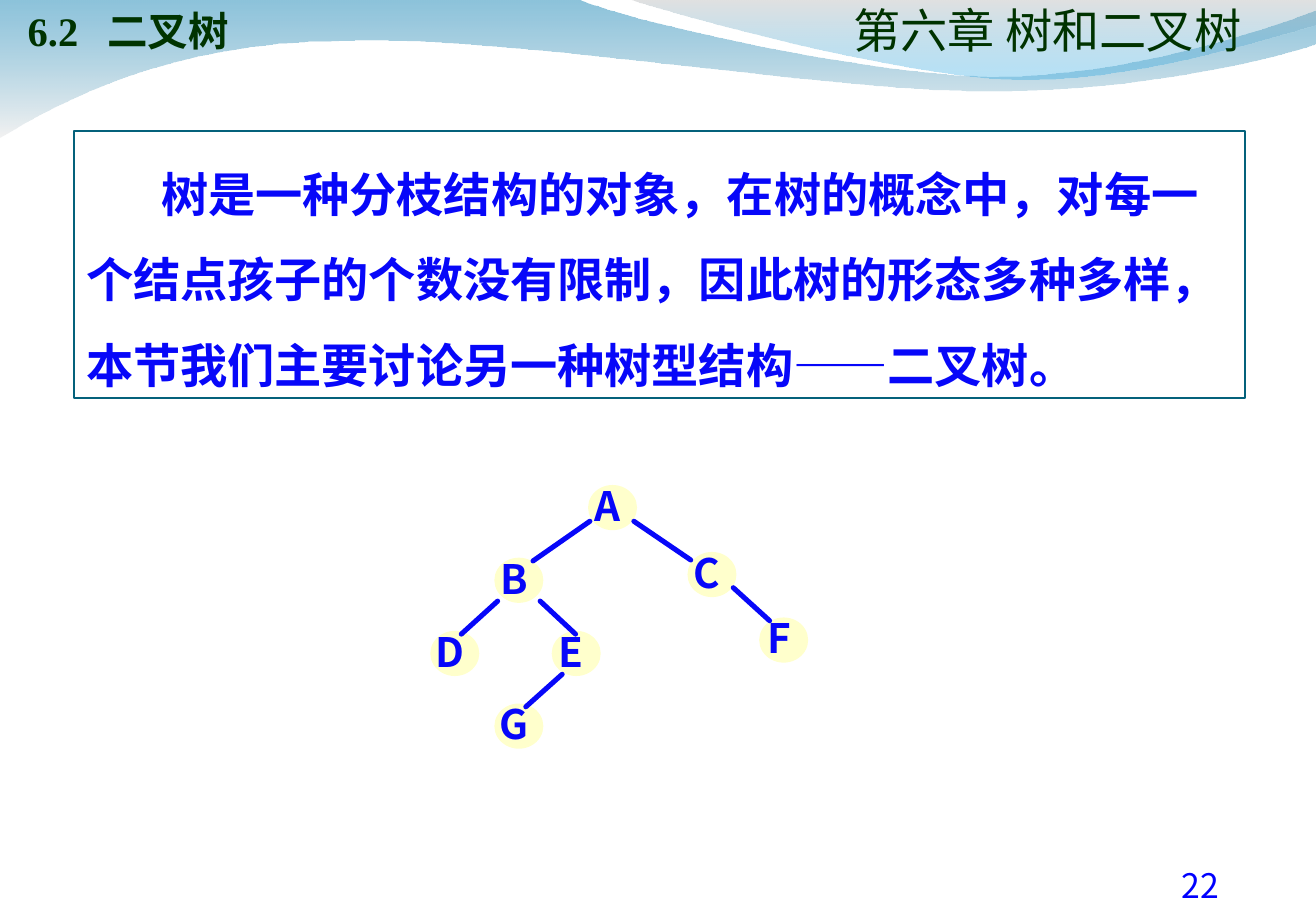
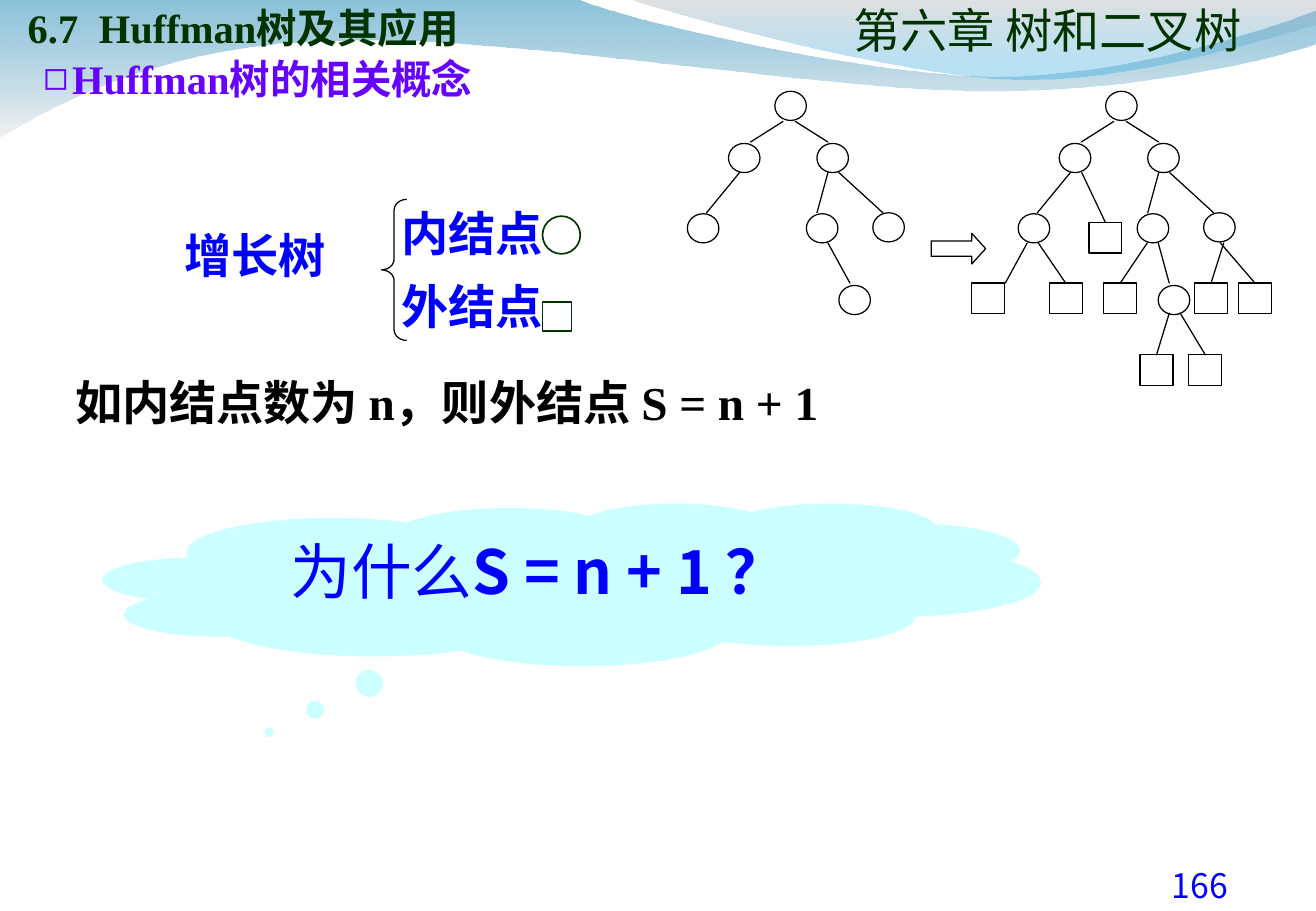
import dataclasses

import lxml.etree
import pptx
import pptx.dml.color
import pptx.enum.shapes
import pptx.enum.text
import pptx.oxml.ns
import pptx.util

Cm = pptx.util.Cm
Pt = pptx.util.Pt
RGB = pptx.dml.color.RGBColor.from_string
SHAPE = pptx.enum.shapes.MSO_SHAPE
ALIGN = pptx.enum.text.PP_ALIGN
ANCHOR = pptx.enum.text.MSO_ANCHOR
qn = pptx.oxml.ns.qn


@dataclasses.dataclass(frozen=True)
class Theme:
    serif: str = "Times New Roman"
    sans: str = "Noto Sans CJK SC"
    title: str = "003300"
    accent: str = "0000FF"
    tree: str = "0707F9"
    node: str = "FFFFCC"
    cloud: str = "CCFFFF"
    frame: str = "04617B"
    heading: str = "6600FF"
    ink: str = "000000"
    number: int = 20
    head: int = 24
    text: int = 28
    big: int = 36
    thin: float = 0.75
    medium: float = 1
    thick: float = 3
    wave: tuple = (("0079AF", 45), ("E7E7E7", 55))
    glow: tuple = (("BCBCBC", 45), ("009BE5", 30))


WAVE = [
    [(0, 0)], [(12.12, 0)],
    [(13.08, 0.43), (18.26, 1.6), (20.88, 1.6)],
    [(23.47, 1.6), (26.37, 0.66), (27.51, 0.23)],
    [(27.53, 0.91)],
    [(27.05, 1.12), (23.93, 1.93), (20.52, 1.9)],
    [(17.12, 1.9), (10.52, 0.71), (7.09, 0.86)],
    [(3.56, 0.89), (1.27, 2.11), (0, 2.87)],
]
GLOW = [
    [(13.18, 0)],
    [(14.02, 0.28), (18.77, 1.57), (21.16, 1.65)],
    [(23.55, 1.75), (26.47, 0.81), (27.51, 0.53)],
    [(27.53, 0)],
]


class Deck:
    def __init__(self, theme):
        self.theme = theme
        self.prs = pptx.Presentation()
        self.prs.slide_width, self.prs.slide_height = Cm(27.53), Cm(19.05)
        self.layout = self.prs.slide_layouts[1]
        self.slide = None

    def new_slide(self, number, section, title, bottom, tab):
        first = self.slide is None
        self.slide = self.prs.slides.add_slide(self.layout)
        if first:
            self.shared_parts()
        t = self.theme
        sp = self.place(self.slide.shapes.title, 0.58, 0, 12.4, bottom)
        p = self.frame(sp, (0, 0.13, 0, 0), ANCHOR.BOTTOM).paragraphs[0]
        p.alignment = ALIGN.LEFT
        tabs = lxml.etree.SubElement(p._p.get_or_add_pPr(), qn("a:tabLst"))
        lxml.etree.SubElement(tabs, qn("a:tab"), pos=str(Cm(tab)), algn="l")
        self.run(p, section + "\t" + title, t.head, t.title)
        p = self.text(22.86, 17.96, 4.65, 1.09, align=ALIGN.CENTER)
        self.run(p, f"{number} ", t.number, t.accent, False, t.sans)

    def shared_parts(self):
        t = self.theme
        for ph in list(self.layout.placeholders)[2:]:
            ph.element.getparent().remove(ph.element)
        count = len(self.slide.shapes)
        self.band(WAVE, t.wave)
        self.band(GLOW, t.glow)
        p = self.text(17.73, 0, 8.36, 1.22, (0, 0.13, 0, 0), ANCHOR.BOTTOM, ALIGN.CENTER)
        self.run(p, "第六章 树和二叉树", t.text, t.title, False)
        for sp in list(self.slide.shapes)[count:]:
            self.layout.shapes.element.append(sp.element)

    def band(self, pieces, stops):
        points = [(Cm(x), Cm(y)) for piece in pieces for x, y in piece]
        builder = self.slide.shapes.build_freeform(*points[0], scale=1.0)
        builder.add_line_segments(points[1:], close=True)
        sp = builder.convert_to_shape()
        self.curve(sp, pieces)
        sp.shadow.inherit = False
        sp.fill.gradient()
        sp.fill.gradient_angle = 270
        for stop, (color, _) in zip(sp.fill.gradient_stops, stops):
            stop.color.rgb = RGB(color)
        for clr, (_, opacity) in zip(sp.element.spPr.iter(qn("a:srgbClr")), stops):
            lxml.etree.SubElement(clr, qn("a:alpha"), val=str(opacity * 1000))
        sp.line.fill.background()

    def curve(self, sp, pieces):
        segments = iter(list(sp.element.spPr.iter(qn("a:lnTo"))))
        for piece in pieces[1:]:
            group = [next(segments) for _ in piece]
            if len(group) == 3:
                bezier = lxml.etree.Element(qn("a:cubicBezTo"))
                group[0].addprevious(bezier)
                for segment in group:
                    bezier.append(segment[0])
                    segment.getparent().remove(segment)

    def place(self, sp, x, y, w, h):
        sp.left, sp.top, sp.width, sp.height = Cm(x), Cm(y), Cm(w), Cm(h)
        return sp

    def frame(self, sp, insets=(0.25, 0.13, 0.25, 0.13), anchor=ANCHOR.TOP, wrap=True):
        tf = sp.text_frame
        tf.auto_size = pptx.enum.text.MSO_AUTO_SIZE.NONE
        tf.word_wrap = wrap
        tf.vertical_anchor = anchor
        tf.margin_left, tf.margin_top, tf.margin_right, tf.margin_bottom = map(Cm, insets)
        return tf

    def text(self, x, y, w, h, insets=(0.25, 0.13, 0.25, 0.13), anchor=ANCHOR.TOP,
             align=ALIGN.LEFT):
        sp = self.slide.shapes.add_textbox(Cm(x), Cm(y), Cm(w), Cm(h))
        p = self.frame(sp, insets, anchor).paragraphs[0]
        p.alignment = align
        return p

    def lines(self, x, y, w, h, items, size, color, spacing):
        sp = self.slide.shapes.add_textbox(Cm(x), Cm(y), Cm(w), Cm(h))
        tf = self.frame(sp)
        for i, item in enumerate(items):
            p = tf.add_paragraph() if i else tf.paragraphs[0]
            p.line_spacing = spacing
            self.run(p, item, size, color)

    def run(self, p, words, size, color, bold=True, font=None):
        r = p.add_run()
        r.text = words
        r.font.size, r.font.bold = Pt(size), bold
        r.font.color.rgb = RGB(color)
        r.font.name = font or self.theme.serif
        lxml.etree.SubElement(r._r.get_or_add_rPr(), qn("a:ea"), typeface=self.theme.sans)

    def body(self, x, y, w, h, words, size, color, left, indent, bullet=None):
        sp = self.place(self.slide.placeholders[1], x, y, w, h)
        p = self.frame(sp).paragraphs[0]
        p.alignment = ALIGN.LEFT
        p.space_before = Pt(0)
        pPr = p._p.get_or_add_pPr()
        pPr.set("marL", str(Cm(left)))
        pPr.set("indent", str(Cm(indent)))
        if bullet:
            clr = lxml.etree.SubElement(pPr, qn("a:buClr"))
            lxml.etree.SubElement(clr, qn("a:srgbClr"), val=color)
            lxml.etree.SubElement(pPr, qn("a:buChar"), char=bullet)
        else:
            lxml.etree.SubElement(pPr, qn("a:buNone"))
        self.run(p, words, size, color)
        return sp, p

    def shape(self, kind, x, y, w, h, line=None, fill=None, width=None, adj=()):
        sp = self.slide.shapes.add_shape(kind, Cm(x), Cm(y), Cm(w), Cm(h))
        sp.shadow.inherit = False
        for i, value in enumerate(adj):
            sp.adjustments[i] = value
        if fill:
            sp.fill.solid()
            sp.fill.fore_color.rgb = RGB(fill)
        else:
            sp.fill.background()
        if line:
            sp.line.color.rgb = RGB(line)
            sp.line.width = Pt(width or self.theme.thin)
        else:
            sp.line.fill.background()
        return sp

    def line(self, x1, y1, x2, y2, color=None, width=None):
        kind = pptx.enum.shapes.MSO_CONNECTOR.STRAIGHT
        cx = self.slide.shapes.add_connector(kind, Cm(x1), Cm(y1), Cm(x2), Cm(y2))
        cx.line.color.rgb = RGB(color or self.theme.ink)
        cx.line.width = Pt(width or self.theme.thin)
        cx.line._get_or_add_ln().set("cap", "rnd")
        lxml.etree.SubElement(cx.element.spPr, qn("a:effectLst"))
        return cx

    def letter_node(self, letter, x, y):
        t = self.theme
        sp = self.shape(SHAPE.OVAL, x, y, 0.99, 0.91, t.node, t.node, t.medium)
        p = self.frame(sp, (0, 0, 0.2, 0.1), ANCHOR.MIDDLE, False).paragraphs[0]
        p.alignment = ALIGN.CENTER
        self.run(p, letter, t.head, t.tree, True, t.sans)

    def inner_node(self, x, y):
        self.shape(SHAPE.OVAL, x, y, 0.66, 0.61, self.theme.ink)

    def outer_node(self, x, y, start):
        sp = self.shape(SHAPE.RECTANGLE, x, y, 0.69, 0.64, self.theme.ink)
        if start:
            self.line(*start, x, y).end_connect(sp, 0)

    def crown(self, dx):
        for x, y in [(16.21, 1.91), (15.24, 3), (17.09, 3), (14.38, 4.47),
                     (16.87, 4.47), (18.26, 4.45)]:
            self.inner_node(x + dx, y)
        for x1, x2 in [(16.38, 15.7), (16.64, 17.32)]:
            self.line(x1 + dx, 2.54, x2 + dx, 2.97)
        for x1, x2 in [(15.47, 14.78), (17.32, 17.09), (17.55, 18.47)]:
            self.line(x1 + dx, 3.61, x2 + dx, 4.45)


def binary_tree(deck):
    t = deck.theme
    deck.new_slide(22, "6.2", "二叉树", 1.14, 1.66)
    sp, p = deck.body(
        1.55, 2.74, 24.49, 5.59,
        "树是一种分枝结构的对象，在树的概念中，对每一个结点孩子的个数没有限制，"
        "因此树的形态多种多样，本节我们主要讨论另一种树型结构——二叉树。",
        t.text, t.tree, 0, 1.57)
    p.line_spacing = 1.5
    sp.line.color.rgb = RGB(t.frame)
    sp.line.width = Pt(t.medium)
    for node in [("A", 12.32, 10.16), ("B", 10.36, 11.68), ("C", 14.4, 11.56),
                 ("D", 9.02, 13.21), ("E", 11.56, 13.21), ("F", 15.9, 12.93),
                 ("G", 10.36, 14.73)]:
        deck.letter_node(*node)
    for edge in [(12.34, 10.9, 11.15, 11.73), (13.26, 10.9, 14.45, 11.71),
                 (10.41, 12.57, 9.65, 13.26), (11.3, 12.57, 12.04, 13.26),
                 (15.34, 12.29, 16.1, 12.98), (11.76, 14.1, 11, 14.78)]:
        deck.line(*edge, t.tree, t.thick)


def huffman_tree(deck):
    t = deck.theme
    deck.new_slide(166, "6.7", "Huffman树及其应用", 1.07, 1.49)
    deck.body(0.66, 0.99, 12, 1.27, "Huffman树的相关概念", t.head, t.heading, 0.6, -0.6, "◻")

    deck.crown(0)
    deck.inner_node(17.55, 5.97)
    deck.line(17.32, 5.08, 17.78, 5.92)
    deck.shape(SHAPE.RIGHT_ARROW, 19.48, 4.88, 1.14, 0.64, t.ink, adj=(0.5, 0.452))
    deck.crown(6.92)
    deck.inner_node(24.23, 5.97)
    deck.line(24.23, 5.08, 24.46, 5.92)
    deck.line(21.49, 5.08, 21.03, 5.92)
    for leaf in [(20.32, 5.92, None), (21.95, 5.92, (21.72, 5.08)),
                 (23.09, 5.92, (24, 5.08)), (24.99, 5.92, (25.6, 5.08)),
                 (25.91, 5.92, (25.53, 5.08)), (23.85, 7.42, (24.46, 6.55)),
                 (24.87, 7.42, (24.69, 6.55)), (22.78, 4.65, (22.63, 3.61))]:
        deck.outer_node(*leaf)

    deck.run(deck.text(3.61, 4.6, 4, 1.45), "增长树", t.text, t.accent)
    deck.shape(SHAPE.LEFT_BRACE, 7.98, 4.17, 0.53, 2.95, t.ink, adj=(0.42, 0.5))
    deck.lines(8.15, 3.78, 4, 3.35, ["内结点", "外结点"], t.text, t.accent, 1.3)
    deck.shape(SHAPE.OVAL, 11.35, 4.52, 0.79, 0.79, t.title, width=t.medium)
    deck.shape(SHAPE.RECTANGLE, 11.35, 6.32, 0.61, 0.61, t.title, width=t.medium)
    p = deck.text(1.32, 7.67, 18, 1.45)
    deck.run(p, "如内结点数为 n，则外结点 S = n + 1", t.text, t.ink)

    sp = deck.shape(SHAPE.CLOUD_CALLOUT, 2.16, 10.52, 19.61, 3.4, fill=t.cloud,
                    adj=(-0.323, 0.911))
    p = deck.frame(sp).paragraphs[0]
    p.alignment = ALIGN.CENTER
    deck.run(p, "为什么", t.big, t.accent, False, t.sans)
    deck.run(p, "S = n + 1 ？", t.big, t.accent, True, t.sans)


def main():
    deck = Deck(Theme())
    binary_tree(deck)
    huffman_tree(deck)
    deck.prs.save("out.pptx")


if __name__ == "__main__":
    main()
